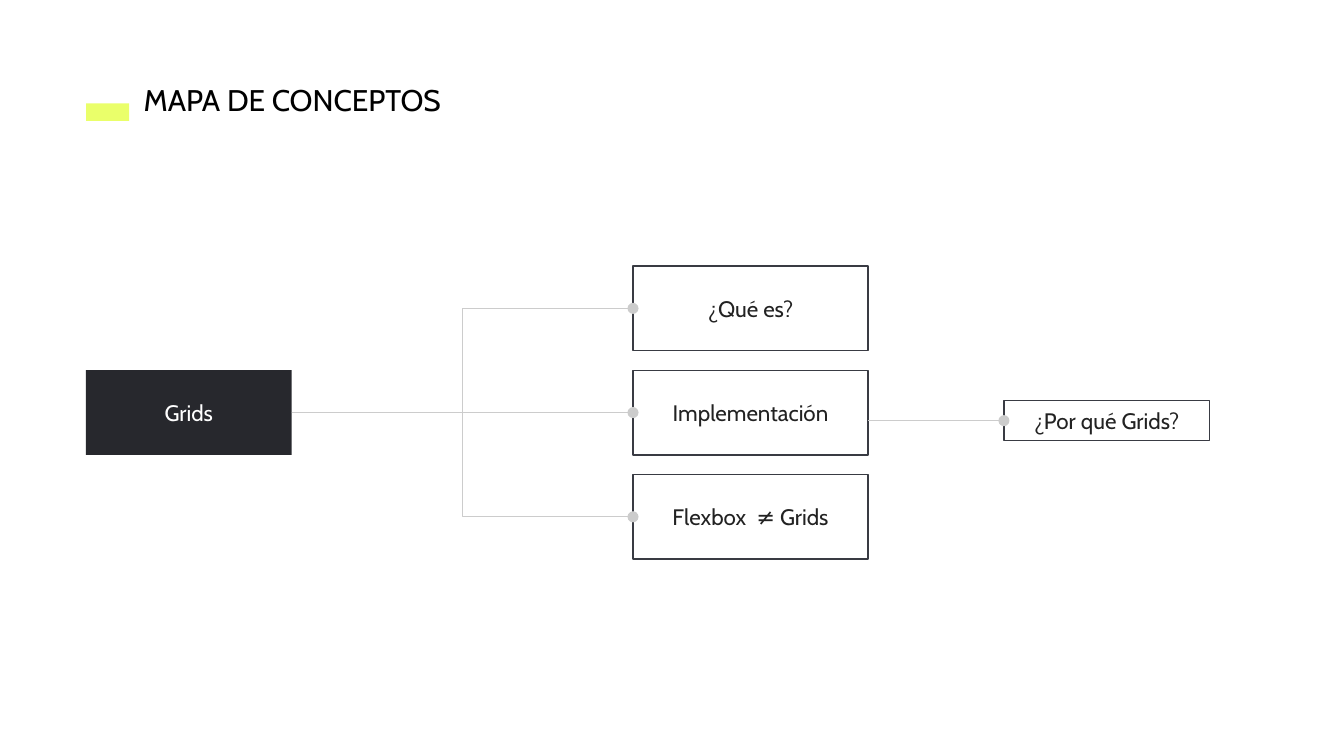
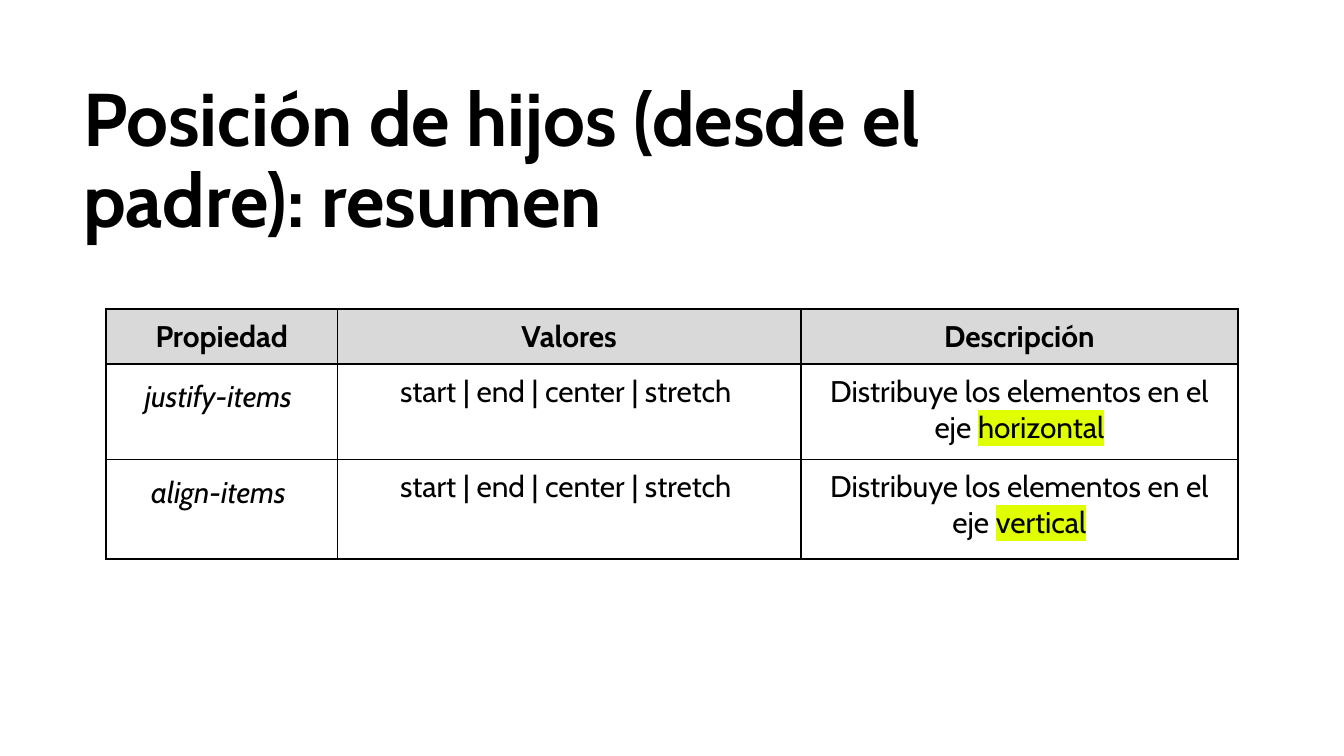
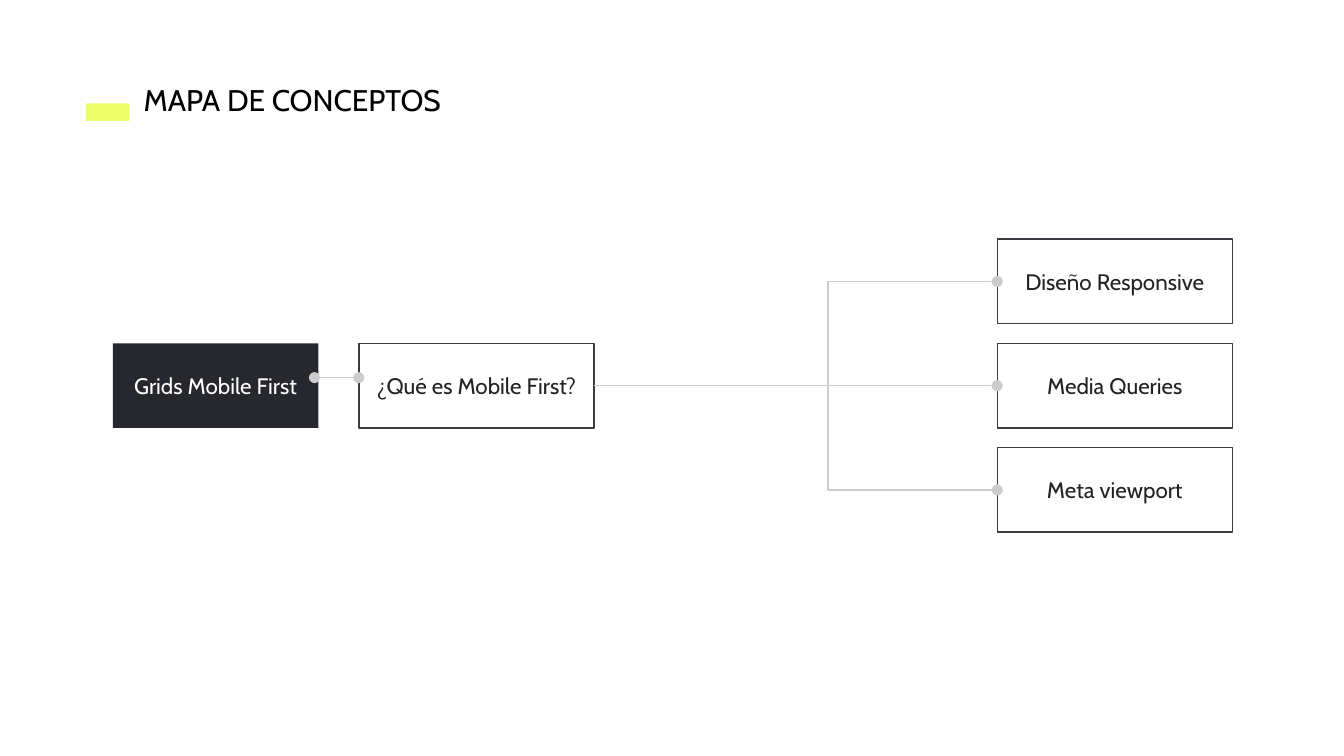
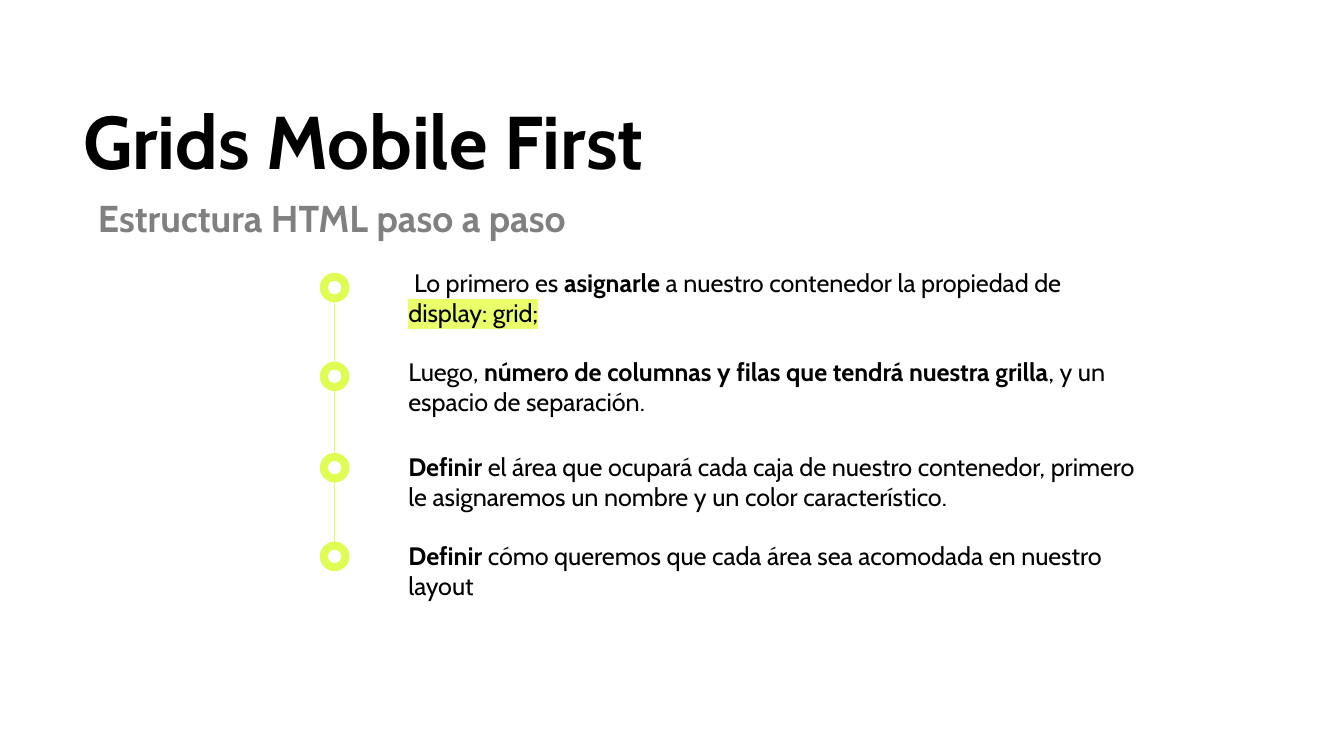
"""Build four slides about CSS grids: two concept maps, a table and a list of steps."""
from dataclasses import dataclass
from itertools import pairwise
from typing import Optional, Sequence

from lxml.etree import SubElement
from pptx import Presentation
from pptx.dml.color import RGBColor
from pptx.enum.shapes import MSO_CONNECTOR as Connector, MSO_SHAPE as Shape
from pptx.enum.text import MSO_ANCHOR as Anchor, MSO_AUTO_SIZE as AutoSize, PP_ALIGN as Align
from pptx.oxml import parse_xml
from pptx.oxml.ns import nsdecls, qn
from pptx.util import Inches, Pt

WIDTH = Inches(10)
HEIGHT = WIDTH * 9 // 16
COLUMNS = 100
CELL = WIDTH // COLUMNS
LEFT_SIDE, RIGHT_SIDE = 1, 3
NODE_STEP = 7.75


@dataclass(frozen=True)
class Theme:
    """Colours, type sizes and line widths of the deck."""
    font: str = "Cabin"
    black: str = "000000"
    white: str = "FFFFFF"
    ink: str = "222222"
    dark: str = "27282D"
    outline: str = "393B43"
    link: str = "CCCCCC"
    subtitle: str = "808080"
    header: str = "D9D9D9"
    accent: str = "EAFF6A"
    ring: str = "DEFC52"
    marker: str = "E0FF00"
    title_size: float = 40
    subtitle_size: float = 20
    heading_size: float = 16
    step_size: float = 13.5
    node_size: float = 12
    thin: float = 0.75
    border: float = 1


THEME = Theme()


@dataclass(frozen=True)
class Style:
    """Look of one paragraph."""
    size: float
    color: str = THEME.black
    align: Align = Align.LEFT
    spacing: float = 1.0


@dataclass(frozen=True)
class Span:
    """Piece of text with its own emphasis."""
    text: str
    bold: bool = False
    italic: bool = False
    highlight: Optional[str] = None


@dataclass(frozen=True)
class Area:
    """Rectangle in grid columns and rows."""
    column: float
    row: float
    width: float
    height: float

    def lengths(self) -> tuple[int, ...]:
        """Return the rectangle in slide units."""
        return tuple(to_length(value) for value in (self.column, self.row, self.width, self.height))


@dataclass(frozen=True)
class Node:
    """Box of a concept map."""
    text: str
    column: float
    row: float
    width: float = 17.5
    height: float = 6.3
    fill: Optional[str] = None


@dataclass(frozen=True)
class Step:
    """Numberless step with its ring and its text."""
    ring_row: float
    text_row: float
    spans: tuple[Span, ...]
    width: float = 55.5


TITLE = Style(THEME.title_size, spacing=0.9)
SUBTITLE = Style(THEME.subtitle_size, THEME.subtitle)
HEADING = Style(THEME.heading_size)
STEP = Style(THEME.step_size)
TABLE_CELL = Style(THEME.heading_size, align=Align.CENTER)
PROPERTY_CELL = Style(THEME.heading_size, align=Align.CENTER, spacing=1.15)

TABLE_AREA = Area(7.9, 23, 84.2, 18.6)
TABLE_COLUMNS = (17.2, 34.5, 32.5)
TABLE_ROWS = (4.1, 7.1, 7.4)
VALUES = "start | end | center | stretch "
DESCRIPTION = "Distribuye los elementos en el eje "
PROPERTIES = (("justify-items ", "horizontal"), ("align-items ", "vertical"))

RING_COLUMN, RING_SIZE, HOLE_SIZE = 23.8, 2.2, 1
STEPS = (
    Step(20.3, 18.9, (
        Span(" Lo primero es "), Span("asignarle ", bold=True),
        Span("a nuestro contenedor la propiedad de "),
        Span("display: grid;", highlight=THEME.accent))),
    Step(26.9, 25.5, (
        Span("Luego,"),
        Span(" número de columnas y filas que tendrá nuestra grilla", bold=True),
        Span(", y un espacio de separación."))),
    Step(33.7, 32.6, (
        Span("Definir", bold=True),
        Span(" el área que ocupará cada caja de nuestro contenedor, primero "
             "le asignaremos un nombre y un color característico.")), 57.3),
    Step(40.3, 39.2, (
        Span("Definir ", bold=True),
        Span("cómo queremos que cada área sea acomodada en nuestro layout"))),
)


def to_length(cells: float) -> int:
    """Turn grid cells into slide units."""
    return round(cells * CELL)


def rgb(color: str) -> RGBColor:
    """Turn a hexadecimal colour into an RGBColor."""
    return RGBColor.from_string(color)


def write(paragraph, spans: Sequence[Span], style: Style) -> None:
    """Fill a paragraph, keeping on its runs only what differs between them."""
    paragraph.alignment = style.align
    paragraph.line_spacing = style.spacing
    font = paragraph.font
    font.name, font.size = THEME.font, Pt(style.size)
    font.color.rgb = rgb(style.color)
    same_bold = len({span.bold for span in spans}) == 1
    font.bold = spans[0].bold if same_bold else None
    font.italic = spans[0].italic
    for span in spans:
        run = paragraph.add_run()
        run.text = span.text
        if not same_bold:
            run.font.bold = span.bold
        if span.highlight:
            highlight = SubElement(run._r.get_or_add_rPr(), qn("a:highlight"))
            SubElement(highlight, qn("a:srgbClr"), val=span.highlight)


def set_insets(frame) -> None:
    """Give a text frame one grid cell of inset on every side."""
    frame.word_wrap = True
    frame.margin_left = frame.margin_right = frame.margin_top = frame.margin_bottom = CELL


def add_text(slide, area: Area, spans: Sequence[Span], style: Style) -> None:
    """Add a text box that grows with its text."""
    frame = slide.shapes.add_textbox(*area.lengths()).text_frame
    set_insets(frame)
    frame.auto_size = AutoSize.SHAPE_TO_FIT_TEXT
    write(frame.paragraphs[0], spans, style)


def add_preset(shapes, kind: Shape, area: Area, fill: Optional[str], line: Optional[str] = None):
    """Add a flat preset shape."""
    shape = shapes.add_shape(kind, *area.lengths())
    shape.shadow.inherit = False
    if fill:
        shape.fill.solid()
        shape.fill.fore_color.rgb = rgb(fill)
    else:
        shape.fill.background()
    if line:
        shape.line.color.rgb = rgb(line)
        shape.line.width = Pt(THEME.thin)
    else:
        shape.line.fill.background()
    return shape


def add_node(slide, node: Node):
    """Add a concept box, dark ones with white text and no outline."""
    dark = node.fill == THEME.dark
    area = Area(node.column, node.row, node.width, node.height)
    shape = add_preset(slide.shapes, Shape.RECTANGLE, area, node.fill, None if dark else THEME.outline)
    frame = shape.text_frame
    set_insets(frame)
    frame.vertical_anchor = Anchor.MIDDLE
    color = THEME.white if dark else THEME.ink
    write(frame.paragraphs[0], [Span(node.text)], Style(THEME.node_size, color, Align.CENTER))
    return shape


def add_line(slide, start: tuple[float, float], end: tuple[float, float], color: str = THEME.link,
             kind: Connector = Connector.STRAIGHT, dots: Sequence[str] = ()):
    """Add a connector with oval ends where asked."""
    connector = slide.shapes.add_connector(kind, *(to_length(value) for value in (*start, *end)))
    connector.line.color.rgb = rgb(color)
    connector.line.width = Pt(THEME.thin)
    for dot in dots:
        SubElement(connector.line._get_or_add_ln(), qn(dot), type="oval")
    SubElement(connector._element.spPr, qn("a:effectLst"))
    return connector


def add_branches(slide, start: tuple[float, float], children: Sequence, source=None) -> None:
    """Link a point, or the right side of a source box, to each child box."""
    for child in children:
        end = (child.left / CELL, (child.top + child.height / 2) / CELL)
        link = add_line(slide, start, end, kind=Connector.ELBOW, dots=["a:tailEnd"])
        if source is not None:
            link.begin_connect(source, RIGHT_SIDE)
        link.end_connect(child, LEFT_SIDE)


def add_column(slide, texts: Sequence[str], column: float, row: float) -> list:
    """Add equally spaced concept boxes below each other."""
    return [add_node(slide, Node(text, column, row + index * NODE_STEP))
            for index, text in enumerate(texts)]


def add_slide(presentation):
    """Add a blank slide with a white background."""
    slide = presentation.slides.add_slide(presentation.slide_layouts[6])
    slide.background.fill.solid()
    slide.background.fill.fore_color.rgb = rgb(THEME.white)
    return slide


def add_map_slide(presentation):
    """Add a concept map slide with its heading."""
    slide = add_slide(presentation)
    add_preset(slide.shapes, Shape.RECTANGLE, Area(6.4, 7.7, 3.2, 1.3), THEME.accent)
    add_text(slide, Area(9.7, 5.1, 26.9, 4.7), [Span("MAPA DE CONCEPTOS")], HEADING)
    return slide


def build_grids_map(presentation) -> None:
    """Draw the concept map of grids."""
    slide = add_map_slide(presentation)
    root = add_node(slide, Node("Grids", 6.4, 27.55, 15.3, fill=THEME.dark))
    topics = add_column(slide, ("¿Qué es?", "Implementación", "Flexbox  ≠ Grids"), 47.1, 19.8)
    reason = add_node(slide, Node("¿Por qué Grids?", 74.7, 29.8, 15.3, 3, THEME.white))
    add_branches(slide, (21.7, 30.7), topics, root)
    link = add_line(slide, (64.6, 31.3), (74.7, 31.3), dots=["a:tailEnd"])
    link.end_connect(reason, LEFT_SIDE)


def set_borders(cell) -> None:
    """Draw the four borders of a table cell."""
    properties = cell._tc.get_or_add_tcPr()
    for index, side in enumerate(("lnL", "lnR", "lnT", "lnB")):
        properties.insert(index, parse_xml(
            f'<a:{side} {nsdecls("a")} w="{Pt(THEME.border)}"><a:solidFill>'
            f'<a:srgbClr val="{THEME.black}"/></a:solidFill></a:{side}>'))


def fill_cell(cell, spans: Sequence[Span], style: Style, fill: Optional[str]) -> None:
    """Write and format one table cell."""
    cell.margin_left = cell.margin_right = cell.margin_top = cell.margin_bottom = to_length(0.7)
    if fill:
        cell.fill.solid()
        cell.fill.fore_color.rgb = rgb(fill)
    else:
        cell.fill.background()
    set_borders(cell)
    write(cell.text_frame.paragraphs[0], spans, style)


def build_summary(presentation) -> None:
    """Draw the table of properties set on the parent."""
    slide = add_slide(presentation)
    title = Span("Posición de hijos (desde el padre): resumen", bold=True)
    add_text(slide, Area(5.2, 5.1, 81, 14.1), [title], TITLE)
    rows = [[[Span(name, bold=True)] for name in ("Propiedad", "Valores", "Descripción")]]
    rows += [[[Span(name, italic=True)], [Span(VALUES)],
              [Span(DESCRIPTION), Span(axis, highlight=THEME.marker)]]
             for name, axis in PROPERTIES]
    table = slide.shapes.add_table(len(rows), len(TABLE_COLUMNS), *TABLE_AREA.lengths()).table
    table.first_row = table.horz_banding = False
    for column, width in zip(table.columns, TABLE_COLUMNS):
        column.width = to_length(width)
    for row, height in zip(table.rows, TABLE_ROWS):
        row.height = to_length(height)
    for row_index, row in enumerate(rows):
        for column_index, spans in enumerate(row):
            style = PROPERTY_CELL if row_index and not column_index else TABLE_CELL
            fill = None if row_index else THEME.header
            fill_cell(table.cell(row_index, column_index), spans, style, fill)


def build_mobile_map(presentation) -> None:
    """Draw the concept map of mobile first grids."""
    slide = add_map_slide(presentation)
    add_node(slide, Node("Grids Mobile First", 8.4, 25.55, 15.3, fill=THEME.dark))
    question = add_node(slide, Node("¿Qué es Mobile First?", 26.7, 25.55))
    design, queries, viewport = add_column(
        slide, ("Diseño Responsive", "Media Queries", "Meta viewport"), 74.2, 17.8)
    add_branches(slide, (49, 28.7), [design, viewport])
    add_branches(slide, (44.2, 28.7), [queries], question)
    add_line(slide, (23.4, 28.1), (26.7, 28.1), dots=["a:headEnd", "a:tailEnd"])


def add_ring(slide, row: float) -> None:
    """Add a grouped ring made of a disc and its white hole."""
    group = slide.shapes.add_group_shape()
    inset = (RING_SIZE - HOLE_SIZE) / 2
    disc = Area(RING_COLUMN, row, RING_SIZE, RING_SIZE)
    hole = Area(RING_COLUMN + inset, row + inset, HOLE_SIZE, HOLE_SIZE)
    add_preset(group.shapes, Shape.OVAL, disc, THEME.ring)
    add_preset(group.shapes, Shape.OVAL, hole, THEME.white)


def build_steps(presentation) -> None:
    """Draw the steps of the HTML structure."""
    slide = add_slide(presentation)
    add_text(slide, Area(5.2, 6.8, 89, 8.1), [Span("Grids Mobile First", bold=True)], TITLE)
    add_text(slide, Area(6.3, 13.5, 57.3, 5.4),
             [Span("Estructura HTML paso a paso", bold=True)], SUBTITLE)
    for step in STEPS:
        add_ring(slide, step.ring_row)
        add_text(slide, Area(29.4, step.text_row, step.width, 6.6), step.spans, STEP)
    axis = RING_COLUMN + RING_SIZE / 2
    for upper, lower in pairwise(STEPS):
        add_line(slide, (axis, upper.ring_row + RING_SIZE), (axis, lower.ring_row), THEME.ring)


def main() -> None:
    """Build and save the presentation."""
    presentation = Presentation()
    presentation.slide_width, presentation.slide_height = WIDTH, HEIGHT
    for build in (build_grids_map, build_summary, build_mobile_map, build_steps):
        build(presentation)
    presentation.save("out.pptx")


if __name__ == "__main__":
    main()
